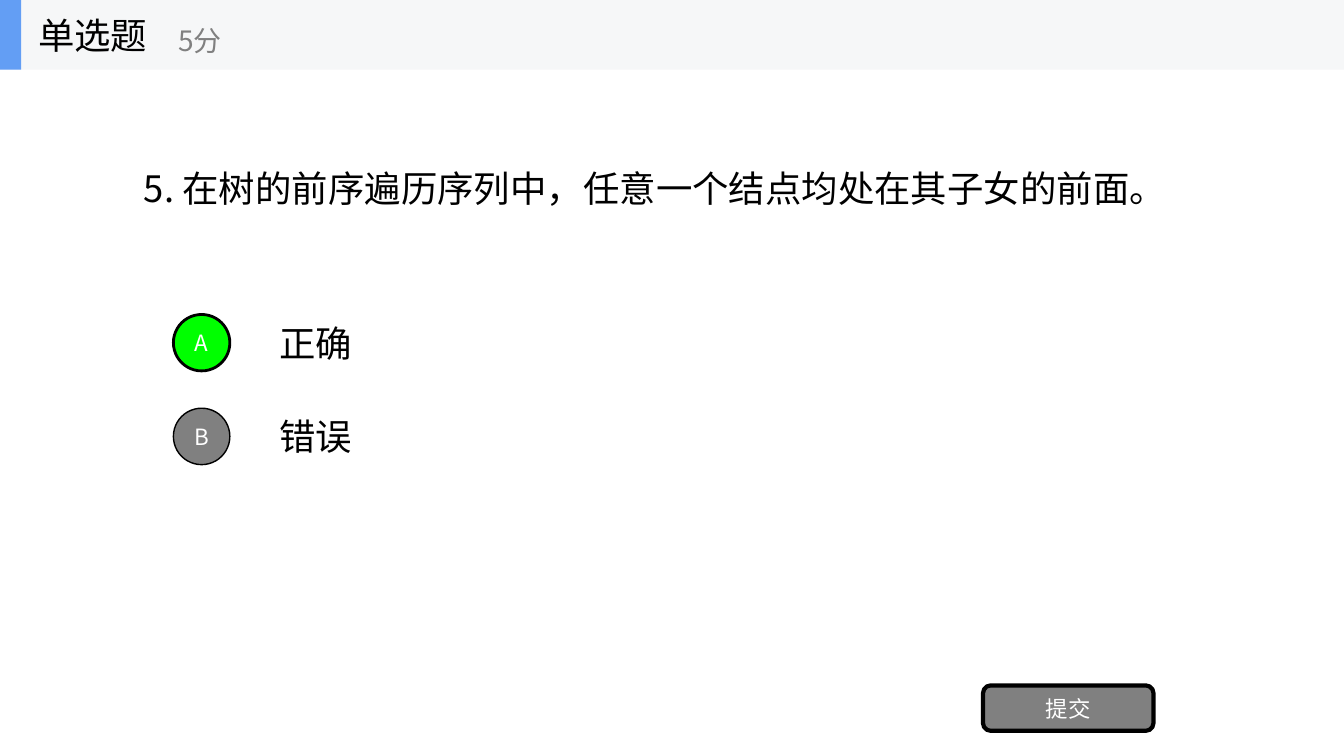
from lxml import etree
from pptx import Presentation
from pptx.dml.color import RGBColor
from pptx.enum.shapes import MSO_SHAPE
from pptx.enum.text import MSO_ANCHOR, PP_ALIGN
from pptx.oxml.ns import qn
from pptx.util import Inches, Pt

RECT = MSO_SHAPE.RECTANGLE
OVAL = MSO_SHAPE.OVAL
ROUND = MSO_SHAPE.ROUNDED_RECTANGLE
MIDDLE = MSO_ANCHOR.MIDDLE
LEFT = PP_ALIGN.LEFT
CENTER = PP_ALIGN.CENTER

BLACK = RGBColor(0x00, 0x00, 0x00)
WHITE = RGBColor(0xFF, 0xFF, 0xFF)
GRAY = RGBColor(0x80, 0x80, 0x80)
GREEN = RGBColor(0x00, 0xFF, 0x00)
PALE = RGBColor(0xF6, 0xF7, 0xF8)
BLUE = RGBColor(0x63, 0x9E, 0xF4)
FONT = "Noto Sans CJK SC"


def write(shape, text, size, color, align=LEFT, wrap=True):
    frame = shape.text_frame
    frame.word_wrap = wrap
    frame.vertical_anchor = MIDDLE
    para = frame.paragraphs[0]
    para.text = text
    para.alignment = align
    font = para.font
    font.size = Pt(size)
    font.color.rgb = color
    font.name = FONT
    props = para._p.pPr.find(qn("a:defRPr"))
    etree.SubElement(props, qn("a:ea"), typeface=FONT)


def label(parent, box, text, size=26, color=BLACK, wrap=True):
    shape = parent.add_textbox(*map(Inches, box))
    write(shape, text, size, color, wrap=wrap)


def block(parent, kind, box, fill, width=0):
    shape = parent.add_shape(kind, *map(Inches, box))
    shape.shadow.inherit = False
    shape.fill.solid()
    shape.fill.fore_color.rgb = fill
    if width:
        shape.line.color.rgb = BLACK
        shape.line.width = Pt(width)
    else:
        shape.line.fill.background()
    return shape


def button(parent, kind, box, text, fill, width):
    shape = block(parent, kind, box, fill, width)
    frame = shape.text_frame
    frame.margin_left = frame.margin_right = 0
    frame.margin_top = frame.margin_bottom = 0
    write(shape, text, 16, WHITE, CENTER)


def header(slide, box, title, score):
    left, top, width, height = box
    group = slide.shapes.add_group_shape().shapes
    block(group, RECT, box, PALE)
    block(group, RECT, (left, top, 0.21, height), BLUE)
    label(group, (left + 0.28, top, 2.08, height), title, wrap=False)
    label(group, (left + 1.67, top + 0.12, 2.5, 0.56), score, 20, GRAY, False)


def option(slide, box, mark, text, fill, width):
    left, top, wide, high = box
    size = 0.56
    inset = (high - size) / 2
    label(slide.shapes, (left + 0.95, top, wide - 0.95, high), text)
    button(slide.shapes, OVAL, (left, top + inset, size, size), mark, fill, width)


def quiz(slide):
    label(slide.shapes, (1.33, 0.69, 10.67, 2.34),
          "5. 在树的前序遍历序列中，任意一个结点均处在其子女的前面。")
    options = [("A", "正确", GREEN, 2), ("B", "错误", GRAY, 1)]
    for row, parts in enumerate(options):
        option(slide, (1.72, 3.05 + row * 0.93, 10.28, 0.7), *parts)
    button(slide.shapes, ROUND, (9.75, 6.8, 1.69, 0.45), "提交", GRAY, 3)
    header(slide, (0, 0, 13.33, 0.69), "单选题", "5分")


def main():
    deck = Presentation()
    deck.slide_width = Inches(13.33)
    deck.slide_height = Inches(7.5)
    quiz(deck.slides.add_slide(deck.slide_layouts[6]))
    deck.save("out.pptx")


if __name__ == "__main__":
    main()
